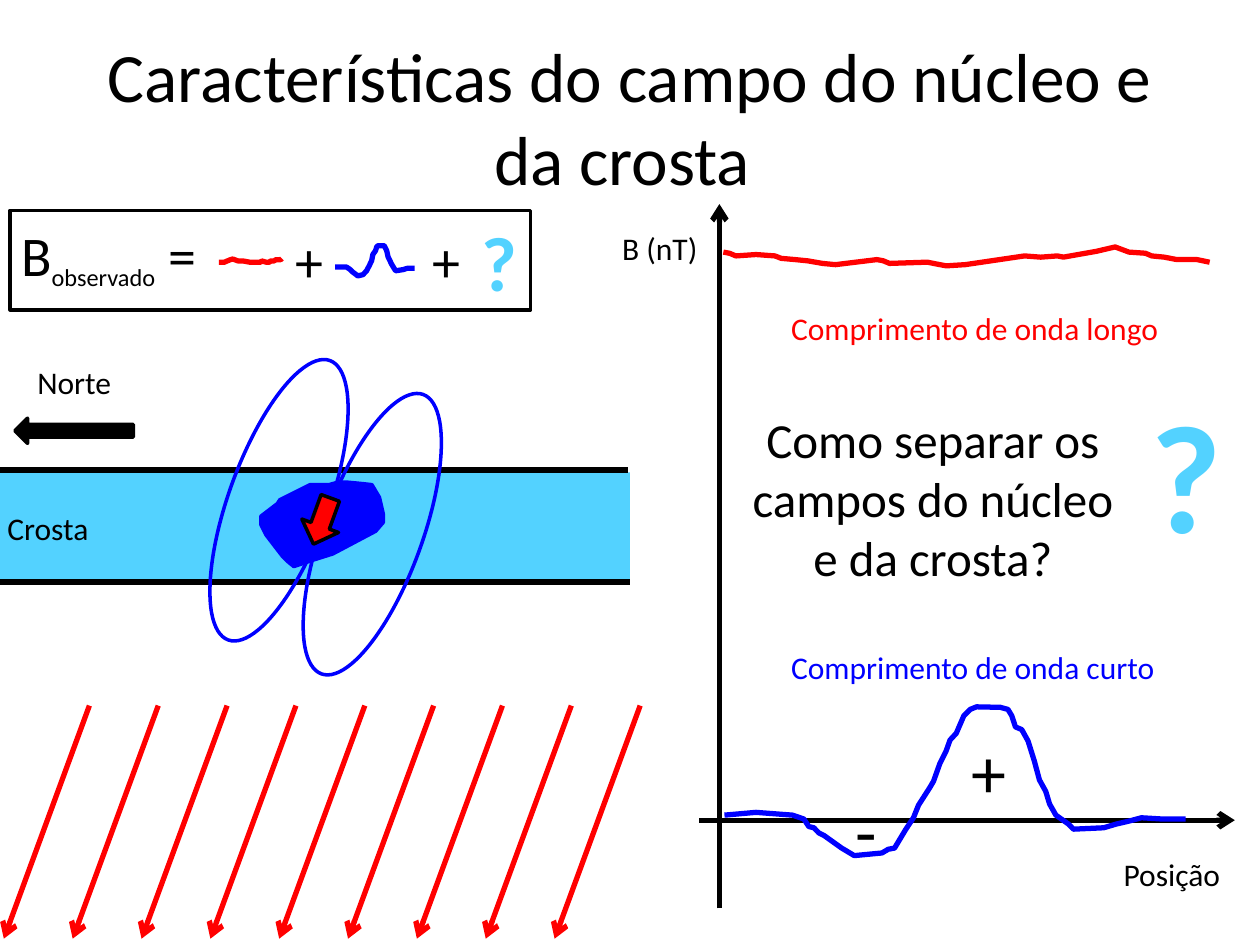
import math

import lxml.etree
import pptx
import pptx.dml.color
import pptx.enum.shapes
import pptx.enum.text
import pptx.oxml.ns
import pptx.util

Pt = pptx.util.Pt
SHAPES = pptx.enum.shapes.MSO_SHAPE
ALIGN = pptx.enum.text.PP_ALIGN
BLACK, RED, BLUE, SKY = "000000", "FF0000", "0000FF", "53D2FF"

ROCK = [
    (149, 295.2), (158.4, 288), (159.8, 285.8), (177.1, 277.2), (187.9, 277.2),
    (193, 275.8), (198.7, 275.8), (205.9, 276.5), (212.4, 277.2), (216.7, 284.4),
    (218.9, 293.8), (218.9, 298.8), (214.6, 303.8), (190.1, 316.8), (178.6, 320.4),
    (172.1, 322.6), (167.8, 324), (164.2, 321.1), (161.3, 318.2), (151.9, 306),
    (149, 300.2),
]
CORE_TERM = [
    (125.3, 149.8), (128.2, 149.8), (131.8, 148.3), (133.2, 147.9), (136.1, 149),
    (139, 149), (143.3, 149.8), (149, 149.8), (149.8, 149), (152.6, 149.8),
    (154.1, 149.8), (154.8, 149), (157, 149), (157.7, 148.3), (160.6, 148.3),
    (161.3, 147.6),
]
CRUST_TERM = [
    (191.5, 152.6), (198, 152.6), (200.2, 154.1), (201.6, 155.5), (204.5, 157.7),
    (207.4, 157), (209.5, 154.8), (211, 151.9), (212.4, 149), (213.1, 145.4),
    (214.6, 143.3), (215.3, 141.1), (216, 140.4), (219.6, 140.4), (221, 143.3),
    (221.8, 146.9), (223.9, 151.2), (226.1, 154.8), (230.4, 154.1), (232.6, 153.4),
    (236.9, 153.4),
]
LONG_WAVE = [
    (691.2, 149.8), (684, 148.3), (672.5, 148.3), (665.3, 146.9), (658.1, 146.2),
    (654.5, 144.7), (645.1, 144), (637.2, 141.1), (626.4, 143.6), (607.7, 146.9),
    (604.1, 146.2), (594.7, 146.9), (585.4, 146.2), (551.5, 151.2), (540.7, 151.9),
    (533.5, 150.5), (529.9, 149.8), (508.3, 150.5), (504.7, 149), (501.1, 148.3),
    (477.4, 151.2), (470.2, 150.5), (461.5, 149), (454.3, 148.3), (446.4, 147.6),
    (442.8, 146.2), (432, 145.4), (420.5, 146.2), (416.9, 144.7), (413.3, 144),
]
SHORT_WAVE = [
    (414, 465.8), (432, 464.2), (452.9, 465.8), (459.4, 468), (462.2, 472.3),
    (465.1, 473), (468, 476), (470.9, 477.4), (481, 484.6), (488.2, 488.9),
    (504, 487.4), (507.6, 485.3), (511.2, 484.6), (517.7, 473.8), (522, 467.3),
    (524.9, 460.1), (531.4, 450), (533.5, 446.4), (537.1, 436.3), (540.7, 429.1),
    (542.9, 422.9), (546.5, 419), (550.8, 409), (554.4, 405.4), (558, 403.9),
    (571.7, 404.2), (576, 405.4), (578.2, 409), (580.3, 415.4), (583.9, 416.9),
    (587.5, 423.4), (591.1, 434.9), (594, 445.7), (597.6, 452.2), (599.8, 459.4),
    (603.4, 465.8), (610.6, 470.9), (613.4, 473.8), (630.7, 473), (637.9, 470.9),
    (644.4, 469.4), (652.3, 467.3), (664, 468), (677.5, 468),
]


def rgb(value):
    """Turn a hex string into a colour."""
    return pptx.dml.color.RGBColor.from_string(value)


class Board:
    """Draws styled elements on the current slide or group."""

    font = "Calibri"

    def __init__(self, slide):
        """Start drawing on the slide itself."""
        self.slide = slide
        self.canvas = slide.shapes

    def group(self):
        """Send the following elements to a new group."""
        self.canvas = self.slide.shapes.add_group_shape().shapes

    def ungroup(self):
        """Send the following elements to the slide again."""
        self.canvas = self.slide.shapes

    def add_runs(self, paragraph, runs, size, color=BLACK, bold=False, align=None):
        """Add (text, size, baseline) runs, or one plain run."""
        paragraph.alignment = align
        for words, points, baseline in [(runs, size, 0)] if isinstance(runs, str) else runs:
            run = paragraph.add_run()
            run.text = words
            run.font.name, run.font.size, run.font.bold = self.font, Pt(points), bold
            run.font.color.rgb = rgb(color)
            if baseline:
                run._r.get_or_add_rPr().set("baseline", str(baseline))

    def title(self, words, box, size):
        """Move and fill the title placeholder."""
        heading = self.slide.shapes.title
        heading.left, heading.top, heading.width, heading.height = map(Pt, box)
        heading.text_frame.vertical_anchor = pptx.enum.text.MSO_ANCHOR.MIDDLE
        self.add_runs(heading.text_frame.paragraphs[0], words, size, align=ALIGN.CENTER)

    def label(self, runs, box, size=18, **style):
        """Add a wrapping text box."""
        frame = self.canvas.add_textbox(*map(Pt, box)).text_frame
        frame.word_wrap = True
        frame.auto_size = pptx.enum.text.MSO_AUTO_SIZE.SHAPE_TO_FIT_TEXT
        self.add_runs(frame.paragraphs[0], runs, size, **style)

    def paint(self, shape, fill, line, width):
        """Set fill and outline and drop the shadow."""
        shape.shadow.inherit = False
        if fill:
            shape.fill.solid()
            shape.fill.fore_color.rgb = rgb(fill)
        else:
            shape.fill.background()
        if line:
            shape.line.color.rgb = rgb(line)
            shape.line.width = Pt(width)
        else:
            shape.line.fill.background()

    def shape(self, kind, box, fill=None, line=None, rotation=0, flip=False):
        """Add a preset shape."""
        shape = self.canvas.add_shape(kind, *map(Pt, box))
        self.paint(shape, fill, line, 2)
        shape.rotation = rotation
        if flip:
            shape._element.spPr.get_or_add_xfrm().set("flipH", "1")

    def outline(self, points, line, fill=None, width=3, rotation=0, center=(0, 0)):
        """Add a freeform whose points are given as seen after rotation."""
        cos, sin = math.cos(math.radians(rotation)), math.sin(math.radians(rotation))
        cx, cy = center
        level = [
            (Pt(cx + (x - cx) * cos + (y - cy) * sin), Pt(cy - (x - cx) * sin + (y - cy) * cos))
            for x, y in points
        ]
        builder = self.canvas.build_freeform(*level[0], scale=1.0)
        builder.add_line_segments(level[1:], close=bool(fill))
        shape = builder.convert_to_shape()
        self.paint(shape, fill, line, width)
        shape.rotation = rotation

    def line(self, start, end, color=BLACK, arrow=False):
        """Add a straight line, with an arrowhead at its end if asked."""
        straight = pptx.enum.shapes.MSO_CONNECTOR.STRAIGHT
        connector = self.canvas.add_connector(straight, *map(Pt, start + end))
        connector.line.color.rgb = rgb(color)
        connector.line.width = Pt(3)
        qn = pptx.oxml.ns.qn
        if arrow:
            lxml.etree.SubElement(connector.line._get_or_add_ln(), qn("a:tailEnd"), type="arrow")
        lxml.etree.SubElement(connector._element.spPr, qn("a:effectLst"))


def main():
    """Build the slide and save it."""
    deck = pptx.Presentation()
    deck.slide_width, deck.slide_height = Pt(720), Pt(540)
    board = Board(deck.slides.add_slide(deck.slide_layouts[5]))
    center = ALIGN.CENTER

    board.shape(SHAPES.RECTANGLE, (0, 270, 360, 62.6), fill=SKY)
    board.title("Características do campo do núcleo e da crosta ", (36, 21.6, 648, 90), 39.6)
    board.line((0, 332.6), (360, 332.6))
    board.line((-1.4, 268.6), (358.6, 268.6))
    board.outline(ROCK, BLUE, fill=BLUE, width=2, rotation=329.5, center=(185.4, 296.3))
    for left, top in ((184.3, 220.3), (131, 200.9)):
        board.shape(SHAPES.OVAL, (left, top, 56.9, 169.9), line=BLUE, rotation=20)

    board.line((399.6, 468.7), (705.6, 468.7), arrow=True)
    board.line((411.1, 519.1), (411.1, 116.6), arrow=True)
    for words, left, top in (
        ("Crosta", -2.9, 287.3), ("B (nT)", 348.5, 127.4), ("Posição", 635, 485.3),
    ):
        board.label(words, (left, top, 76.3, 28.8))
    board.label("?", (649.4, 213.1, 56.9, 113.8), 88, color=SKY, bold=True, align=center)

    board.group()
    observed = [("B", 32, 0), ("observado", 24, -25000), (" =", 32, 0)]
    board.label(observed, (5, 122.4, 169.9, 46.1))
    board.outline(CORE_TERM, RED, rotation=16, center=(143.6, 149.4))
    board.outline(CRUST_TERM, BLUE)
    board.label("?", (267.8, 118.8, 28.1, 60.5), 44, color=SKY, bold=True, align=center)
    for left in (162, 239.8):
        board.label("+", (left, 126, 33.8, 46.1), 32)
    board.shape(SHAPES.RECTANGLE, (5.8, 120.2, 297.4, 56.9), line=BLACK)
    board.ungroup()

    board.label("Comprimento de onda longo", (445, 172.8, 249.1, 28.8), color=RED)
    board.label("Comprimento de onda curto", (445, 366.5, 249.1, 28.8), color=BLUE)
    board.shape(SHAPES.DOWN_ARROW, (172.8, 283.7, 22.3, 28.1), RED, BLACK, rotation=20)
    board.outline(LONG_WAVE, RED, rotation=350, center=(551.9, 147.2))

    board.group()
    for column in reversed(range(9)):
        shift = 39.34 * column
        board.line((51.1 + shift, 403.2), (2.2 + shift, 536.4), RED, arrow=True)
    board.ungroup()

    board.outline(SHORT_WAVE, BLUE)
    board.group()
    board.shape(SHAPES.RIGHT_ARROW, (8.6, 239, 67.7, 14.4), BLACK, BLACK, flip=True)
    board.label("Norte", (8.6, 203.8, 67.7, 28.8), align=center)
    board.ungroup()
    for sign, left, top in (("+", 546.5, 412.6), ("-", 476.6, 446.4)):
        board.label(sign, (left, top, 36.7, 55.4), 40, align=center)
    question = "Como separar os campos do núcleo e da crosta?"
    board.label(question, (422.6, 230.4, 221, 108.7), 28, align=center)
    deck.save("out.pptx")


if __name__ == "__main__":
    main()
